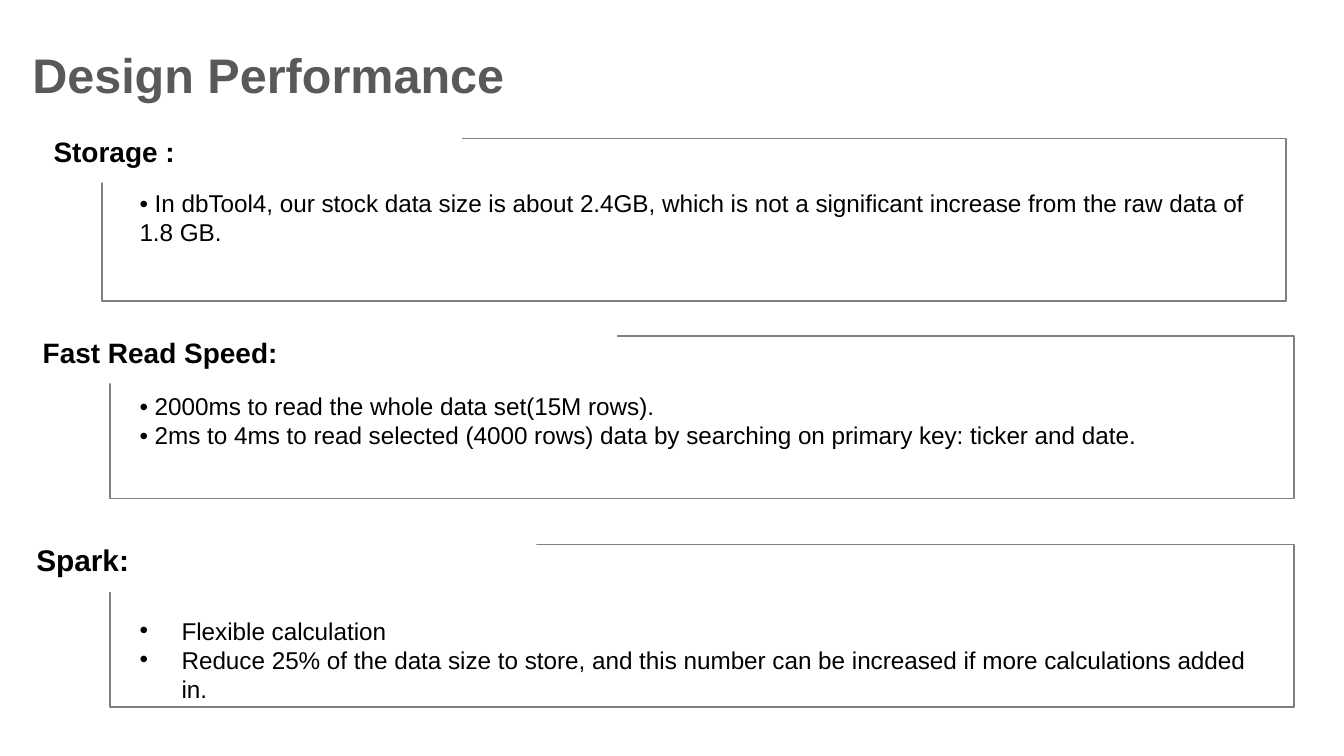
from lxml.etree import SubElement
from pptx import Presentation
from pptx.dml.color import RGBColor
from pptx.enum.shapes import MSO_SHAPE
from pptx.enum.text import MSO_ANCHOR, MSO_AUTO_SIZE, PP_ALIGN
from pptx.oxml.ns import qn
from pptx.util import Pt


def color(value):
    return RGBColor.from_string(value)


class Deck:
    font = "Arial"
    text_color = "000000"
    title_color = "595959"
    line_color = "7F7F7F"
    label_fill = "FFFFFF"
    inset = 7.2
    body_size = 13
    bullet_indent = 22.5

    def __init__(self, width, height):
        self.prs = Presentation()
        self.prs.slide_width = Pt(width)
        self.prs.slide_height = Pt(height)
        self.s = None

    def add_slide(self):
        self.s = self.prs.slides.add_slide(self.prs.slide_layouts[5])

    def frame(self, tf):
        tf.word_wrap = True
        tf.auto_size = MSO_AUTO_SIZE.NONE
        tf.vertical_anchor = MSO_ANCHOR.TOP
        tf.margin_left = tf.margin_right = Pt(self.inset)
        tf.margin_top = tf.margin_bottom = Pt(self.inset)

    def run(self, p, text, size, rgb, bold=False):
        r = p.add_run()
        r.text = text
        r.font.name = self.font
        r.font.size = Pt(size)
        r.font.bold = bold
        r.font.color.rgb = color(rgb)

    def title(self, text, left, top, width, height):
        sp = self.s.shapes.title
        sp.left, sp.top, sp.width, sp.height = map(Pt, (left, top, width, height))
        self.frame(sp.text_frame)
        p = sp.text_frame.paragraphs[0]
        p.alignment = PP_ALIGN.JUSTIFY
        self.run(p, text, 26, self.title_color, True)

    def rect(self, left, top, width, height):
        sp = self.s.shapes.add_shape(
            MSO_SHAPE.RECTANGLE, Pt(left), Pt(top), Pt(width), Pt(height))
        sp.shadow.inherit = False
        return sp

    def panel(self, left, top, width, height):
        sp = self.rect(left, top, width, height)
        sp.fill.background()
        sp.line.color.rgb = color(self.line_color)
        sp.line.width = Pt(0.75)

    def label(self, text, size, left, top, width, height):
        sp = self.rect(left, top, width, height)
        sp.fill.solid()
        sp.fill.fore_color.rgb = color(self.label_fill)
        sp.line.fill.background()
        self.frame(sp.text_frame)
        p = sp.text_frame.paragraphs[0]
        p.alignment = PP_ALIGN.LEFT
        p.line_spacing = 1.5
        self.run(p, text, size, self.text_color, True)

    def bullet(self, p):
        pPr = p._p.get_or_add_pPr()
        pPr.set("marL", str(Pt(self.bullet_indent)))
        pPr.set("indent", str(-Pt(self.bullet_indent)))
        SubElement(pPr, qn("a:buFont"), typeface=self.font)
        SubElement(pPr, qn("a:buChar"), char="•")

    def body(self, lines, bulleted, left, top, width, height):
        sp = self.s.shapes.add_textbox(Pt(left), Pt(top), Pt(width), Pt(height))
        tf = sp.text_frame
        self.frame(tf)
        for i, line in enumerate(lines):
            p = tf.add_paragraph() if i else tf.paragraphs[0]
            if bulleted:
                self.bullet(p)
            self.run(p, line, self.body_size, self.text_color)


def main():
    deck = Deck(720, 405)
    deck.add_slide()
    deck.title("Design Performance", 10.1, 16.9, 720, 46)

    panels = [(54.7, 74.2), (59, 180), (59, 291.6)]
    labels = [
        ("Storage :", 15, 21.6, 56, 226, 41.8),
        ("Fast Read Speed:", 15, 15.8, 163.6, 314.8, 41.8),
        ("Spark:", 16, 12.4, 273.4, 275, 43.9),
    ]
    bodies = [
        (["• In dbTool4, our stock data size is about 2.4GB, which is not a "
          "significant increase from the raw data of 1.8 GB."],
         False, 93.6, 617, 61.9),
        (["• 2000ms to read the whole data set(15M rows).",
          "• 2ms to 4ms to read selected (4000 rows) data by searching on "
          "primary key: ticker and date."],
         False, 202.5, 621.4, 46),
        (["Flexible calculation",
          "Reduce 25% of the data size to store, and this number can be "
          "increased if more calculations added in."],
         True, 322.7, 617.8, 78.5),
    ]
    for left, top in panels:
        deck.panel(left, top, 634.3, 87.1)
    for label in labels:
        deck.label(*label)
    for lines, bulleted, top, width, height in bodies:
        deck.body(lines, bulleted, 67.7, top, width, height)

    deck.prs.save("out.pptx")


if __name__ == "__main__":
    main()
